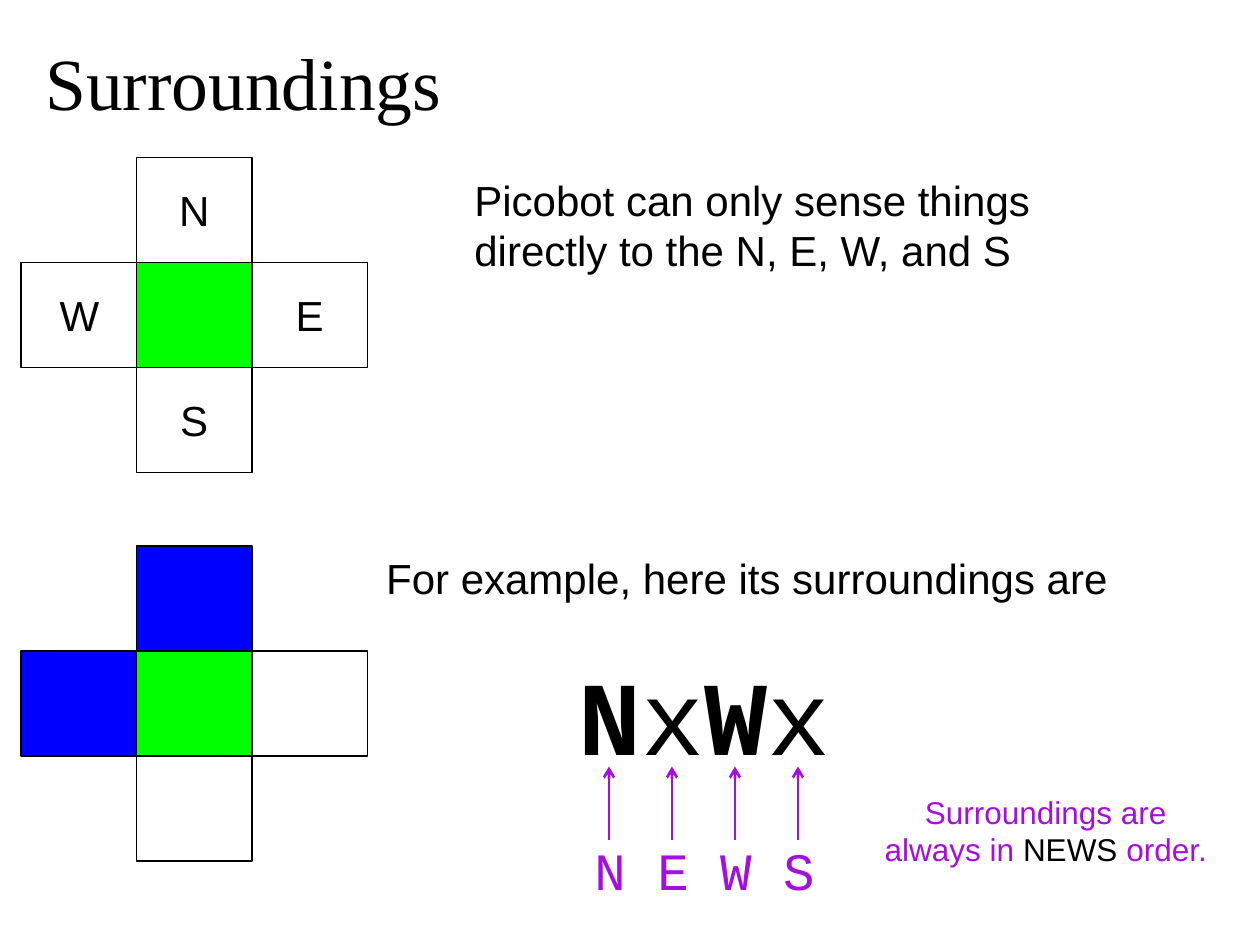
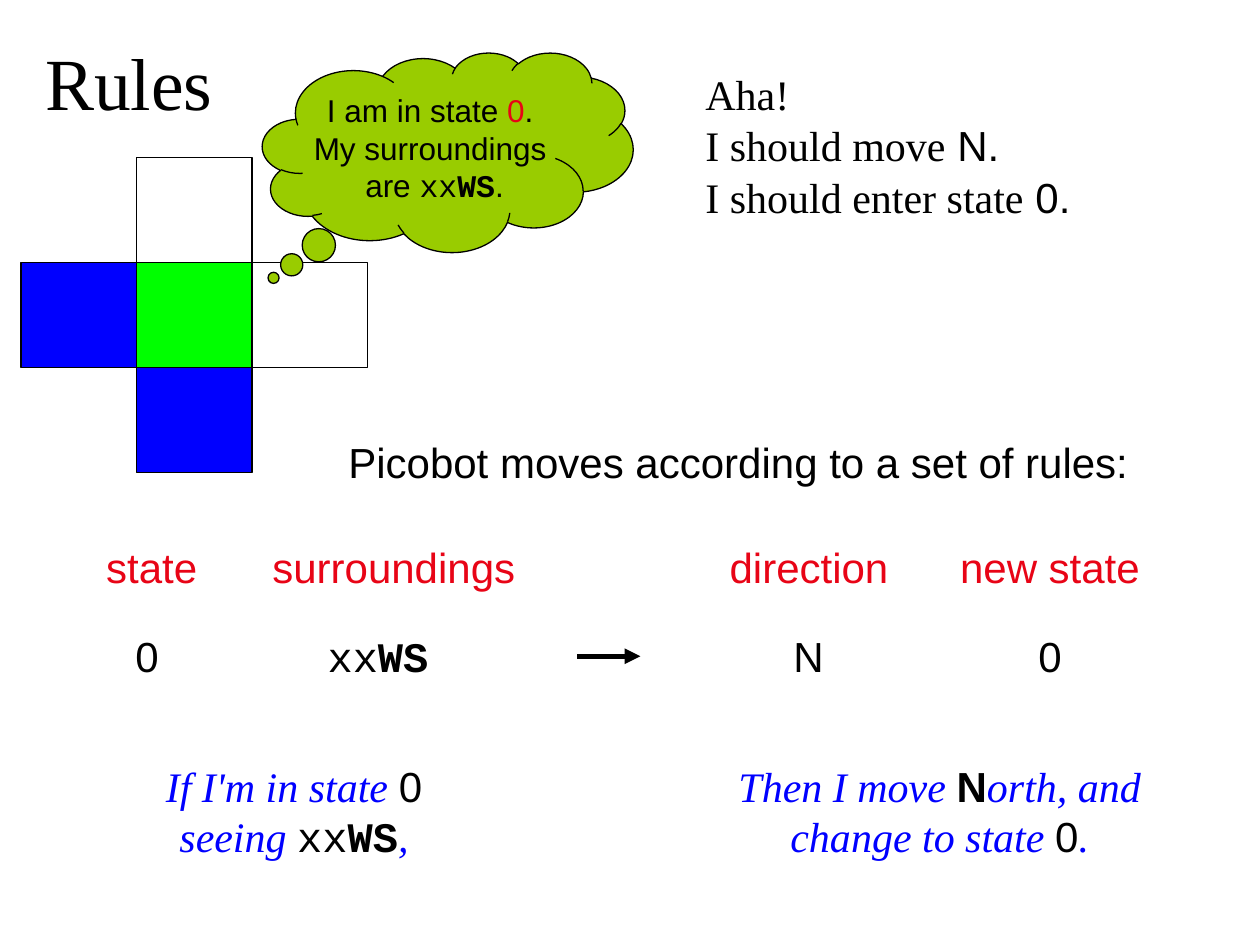
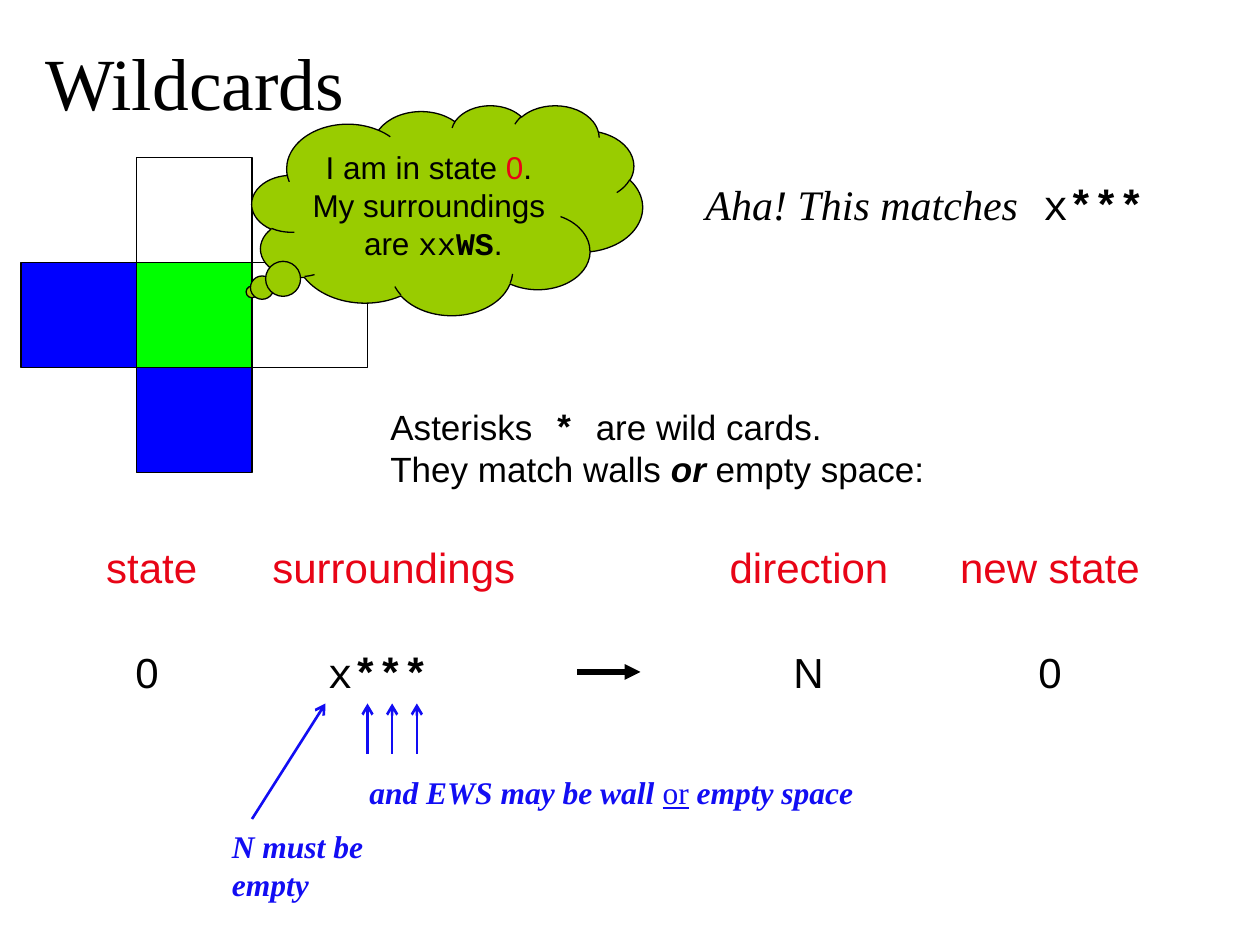
from dataclasses import dataclass, replace
from typing import NamedTuple

from lxml.etree import SubElement
from pptx import Presentation
from pptx.dml.color import RGBColor
from pptx.enum.shapes import MSO_CONNECTOR, MSO_SHAPE
from pptx.enum.text import MSO_ANCHOR, MSO_AUTO_SIZE, PP_ALIGN
from pptx.oxml.ns import qn
from pptx.util import Inches, Pt

BLACK = RGBColor(0x00, 0x00, 0x00)
GREEN = RGBColor(0x00, 0xFF, 0x00)
BLUE = RGBColor(0x00, 0x00, 0xFF)
NOTE_BLUE = RGBColor(0x12, 0x0D, 0xF3)
RED = RGBColor(0xE8, 0x04, 0x16)
PURPLE = RGBColor(0xA4, 0x0F, 0xE0)
LIME = RGBColor(0x99, 0xCC, 0x00)

# The slide is a grid of 120 columns by 90 rows, twelve to the inch.
CELL_W, CELL_H = 11, 10
CROSS_LEFT, CROSS_TOP = 2, 15
CROSS_CELLS = {"N": (1, 0), "W": (0, 1), "C": (1, 1), "E": (2, 1), "S": (1, 2)}


class Box(NamedTuple):
    """A rectangle in grid units."""
    x: float
    y: float
    w: float
    h: float


@dataclass(frozen=True)
class Style:
    font: str = "Arial"
    size: float = 24
    color: RGBColor = BLACK
    bold: bool = False
    italic: bool = False
    underline: bool = False


SANS = Style()
BOLD = replace(SANS, bold=True)
SERIF = Style("Times New Roman")
TITLE = replace(SERIF, size=42)
MONO = Style("Courier New")
MONO_BOLD = replace(MONO, bold=True)
HEADER = replace(SANS, color=RED)
READING = replace(SERIF, color=BLUE, italic=True)
NOTE = replace(SERIF, size=18, color=NOTE_BLUE, bold=True, italic=True)
XXWS = [("xx", MONO), ("WS", MONO_BOLD)]
X_STARS = [("x", MONO), ("***", MONO_BOLD)]


def grid(n):
    return Inches(n / 12)


def sized(runs, size):
    return [(text, replace(style, size=size)) for text, style in runs]


def fill_text(tf, paragraphs, align=PP_ALIGN.LEFT, wrap=True,
              line_spacing=None, space_before=None):
    """Write paragraphs, each a list of (text, style) runs."""
    tf.word_wrap = wrap
    for i, runs in enumerate(paragraphs):
        p = tf.add_paragraph() if i else tf.paragraphs[0]
        p.alignment = align
        if line_spacing:
            p.line_spacing = line_spacing
        if space_before is not None:
            p.space_before = Pt(space_before)
        for text, style in runs:
            r = p.add_run()
            r.text = text
            font = r.font
            font.name, font.size = style.font, Pt(style.size)
            font.color.rgb = style.color
            font.bold, font.italic = style.bold, style.italic
            font.underline = style.underline


def add_text(slide, box, *paragraphs, **options):
    sp = slide.shapes.add_textbox(*map(grid, box))
    fill_text(sp.text_frame, paragraphs, **options)


def add_centered(slide, box, *paragraphs):
    add_text(slide, box, *paragraphs, align=PP_ALIGN.CENTER)


def add_outlined(slide, preset, box, fill=None):
    sp = slide.shapes.add_shape(preset, *map(grid, box))
    sp.shadow.inherit = False
    if fill is None:
        sp.fill.background()
    else:
        sp.fill.solid()
        sp.fill.fore_color.rgb = fill
    sp.line.color.rgb = BLACK
    sp.line.width = Pt(0.75)
    return sp


def add_arrow(slide, start, end, color, width=1.5, head="arrow"):
    line = slide.shapes.add_connector(
        MSO_CONNECTOR.STRAIGHT, *map(grid, (*start, *end)))
    line.line.color.rgb = color
    line.line.width = Pt(width)
    spPr = line.element.spPr
    SubElement(spPr.find(qn("a:ln")), qn("a:tailEnd"), type=head)
    SubElement(spPr, qn("a:effectLst"))


def add_titled_slide(prs, title, width=39):
    slide = prs.slides.add_slide(prs.slide_layouts[5])
    sp = slide.shapes.title
    sp.left, sp.top, sp.width, sp.height = map(grid, (3.1, 2.9, width, 9.6))
    tf = sp.text_frame
    tf.auto_size = MSO_AUTO_SIZE.NONE
    tf.vertical_anchor = MSO_ANCHOR.TOP
    fill_text(tf, [[(title, TITLE)]], space_before=0)
    return slide


def add_cross(slide, walls="", top=CROSS_TOP, labelled=False):
    """Draw the robot's cell and its four neighbours; walls are blue."""
    for name, (col, row) in CROSS_CELLS.items():
        box = Box(CROSS_LEFT + col * CELL_W, top + row * CELL_H, CELL_W, CELL_H)
        fill = GREEN if name == "C" else BLUE if name in walls else None
        add_outlined(slide, MSO_SHAPE.RECTANGLE, box, fill)
        if labelled and name != "C":
            label = Box(box.x + 2.5, box.y + 2, CELL_W - 5, 6)
            add_centered(slide, label, [(name, SANS)])


def add_thought(slide, box, tail):
    sp = add_outlined(slide, MSO_SHAPE.CLOUD_CALLOUT, box, LIME)
    sp.adjustments[0], sp.adjustments[1] = tail
    sp.text_frame.vertical_anchor = MSO_ANCHOR.MIDDLE
    lines = [
        [("I am in state ", SANS), ("0", HEADER), (". ", SANS)],
        [("My surroundings ", SANS)],
        [("are ", SANS), *XXWS, (".", SANS)],
    ]
    fill_text(sp.text_frame, [sized(runs, 18) for runs in lines],
              align=PP_ALIGN.CENTER, wrap=False)


def add_rule(slide, surroundings, value_top):
    """Place the four headings and, below them, one rule with its arrow."""
    columns = [
        ("state", 5.4, 18.1, [("0", SANS)], 9, 10),
        ("surroundings", 22, 31, surroundings, 27, 18),
        ("direction", 68, 18.1, [("N", SANS)], 68, 18),
        ("new state", 88, 24, [("0", SANS)], 91, 18),
    ]
    for heading, head_x, head_w, value, value_x, value_w in columns:
        add_centered(slide, Box(head_x, 51, head_w, 6), [(heading, HEADER)])
        add_centered(slide, Box(value_x, value_top, value_w, 6), value)
    middle = value_top + 3
    add_arrow(slide, (55, middle), (61, middle), BLACK, 3, "triangle")


def add_news_code(slide, left, top):
    """Show the code NxWx with an arrow from each compass letter."""
    code = [("N", MONO_BOLD), ("x", MONO), ("W", MONO_BOLD), ("x", MONO)]
    add_centered(slide, Box(left, top, 27, 13.2), sized(code, 60))
    for i in range(4):
        x = left + 4.4 + 6 * i
        add_arrow(slide, (x, top + 18.6), (x, top + 11.6), PURPLE)
    letters = replace(MONO, size=30, color=PURPLE)
    add_centered(slide, Box(left, top + 17.8, 27, 7.2), [("N E W S", letters)])


def build_surroundings(prs):
    slide = add_titled_slide(prs, "Surroundings", 48)
    add_cross(slide, labelled=True)
    add_cross(slide, "NW", top=52)
    add_text(slide, Box(44, 16, 56, 10.8), [
        ("Picobot can only sense things directly to the N, E, W, and S", SANS)])
    add_text(slide, Box(35.6, 52, 77, 6),
             [("For example, here its surroundings are", SANS)])
    add_news_code(slide, 53.6, 61.4)
    purple = replace(SANS, color=PURPLE)
    add_centered(slide, Box(82.7, 74.9, 33.8, 8.4), sized([
        ("Surroundings are always in ", purple), ("NEWS", SANS),
        (" order.", purple)], 18))


def build_rules(prs):
    slide = add_titled_slide(prs, "Rules")
    add_cross(slide, "WS")
    add_thought(slide, Box(25, 5, 35.3, 19), (-0.47, 0.63))
    add_text(slide, Box(66, 8, 40.3, 13.4),
             [("Aha!", SERIF)],
             [("I should move", SERIF), (" N.", SANS)],
             [("I should enter state", SERIF), (" 0.", SANS)],
             line_spacing=0.5, space_before=15)
    add_text(slide, Box(32, 41, 80, 6),
             [("Picobot moves according to a set of rules:", SANS)])
    add_rule(slide, XXWS, 59.5)
    add_centered(slide, Box(14.5, 71.8, 27, 10.8), [
        ("If I'm in state ", READING), ("0", SANS), (" seeing ", READING),
        *XXWS, (",", READING)])
    add_centered(slide, Box(69, 71.8, 41, 10.8), [
        ("Then I move ", READING), ("N", BOLD),
        ("orth, and change to state ", READING), ("0", SANS), (".", READING)])


def build_wildcards(prs):
    slide = add_titled_slide(prs, "Wildcards")
    add_cross(slide, "WS")
    add_thought(slide, Box(24, 10, 37.2, 20), (-0.5, 0.39))
    add_text(slide, Box(66, 17, 52, 5.5), [
        ("Aha! This matches", replace(SERIF, italic=True)), (" ", MONO),
        *X_STARS], line_spacing=0.9)
    add_text(slide, Box(36, 38, 59, 9.2),
             sized([("Asterisks", SANS), (" * ", MONO_BOLD),
                    ("are wild cards.", SANS)], 20),
             sized([("They match walls ", SANS),
                    ("or", replace(BOLD, italic=True)),
                    (" empty space:", SANS)], 20))
    add_rule(slide, X_STARS, 61)
    for x in (35, 37.35, 39.7):
        add_arrow(slide, (x, 71.8), (x, 67), NOTE_BLUE)
    add_arrow(slide, (24, 78), (31, 67), NOTE_BLUE)
    plain = replace(NOTE, bold=False, italic=False, underline=True)
    add_text(slide, Box(34, 73, 71, 4.8), [
        ("and EWS may be wall ", NOTE), ("or", plain), (" empty space", NOTE)])
    add_text(slide, Box(20.9, 78.2, 22.9, 4.8), [("N must be empty", NOTE)],
             wrap=False)


def main():
    prs = Presentation()
    prs.slide_width, prs.slide_height = grid(120), grid(90)
    build_surroundings(prs)
    build_rules(prs)
    build_wildcards(prs)
    prs.save("out.pptx")


if __name__ == "__main__":
    main()
